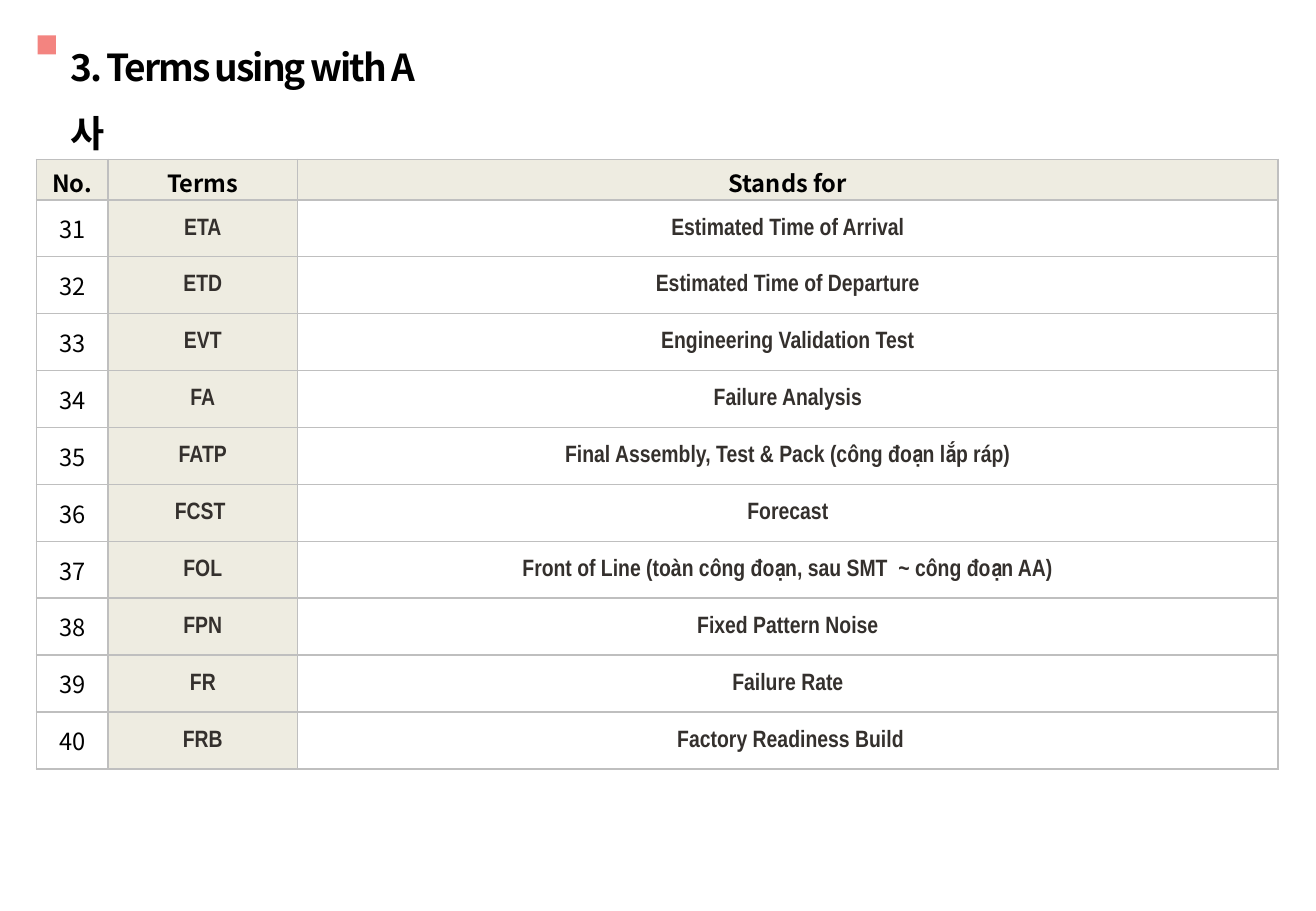
from lxml import etree
from pptx import Presentation
from pptx.dml.color import RGBColor
from pptx.enum.shapes import MSO_SHAPE
from pptx.enum.text import MSO_ANCHOR, MSO_AUTO_SIZE, PP_ALIGN
from pptx.oxml.ns import qn
from pptx.util import Cm, Pt

RECTANGLE = MSO_SHAPE.RECTANGLE
TOP, MIDDLE = MSO_ANCHOR.TOP, MSO_ANCHOR.MIDDLE
LEFT, CENTER = PP_ALIGN.LEFT, PP_ALIGN.CENTER
GROW = MSO_AUTO_SIZE.SHAPE_TO_FIT_TEXT

COLORS = {
    "accent": "F38480",
    "black": "000000",
    "term": "34302D",
    "shade": "EEECE1",
    "border": "BFBFBF",
}
KOREAN = "Noto Sans CJK KR"
NARROW = "Arial Narrow"

TITLE = "3. Terms using with A사"
HEADINGS = ("No.", "Terms", "Stands for")
FIRST_NUMBER = 31
TERMS = [
    ("ETA", "Estimated Time of Arrival"),
    ("ETD", "Estimated Time of Departure"),
    ("EVT", "Engineering Validation Test"),
    ("FA", "Failure Analysis"),
    ("FATP", "Final Assembly, Test & Pack (công đoạn lắp ráp)"),
    ("FCST ", "Forecast"),
    ("FOL", "Front of Line (toàn công đoạn, sau SMT  ~ công đoạn AA)"),
    ("FPN", "Fixed Pattern Noise"),
    ("FR", "Failure Rate"),
    ("FRB", " Factory Readiness Build"),
]
COLUMN_WIDTHS = (1.5, 3.96, 20.5)
HEADING_HEIGHT, TERM_HEIGHT = 0.36, 1.19


def color(name):
    """Return the named colour of the palette."""
    return RGBColor.from_string(COLORS[name])


def write(frame, text, size=14, font=KOREAN, ink="black", bold=False,
          align=CENTER, spacing=None, tracking=None):
    """Write one formatted paragraph into a text frame."""
    paragraph = frame.paragraphs[0]
    paragraph.alignment = align
    if spacing:
        paragraph.line_spacing = spacing
    run = paragraph.add_run()
    run.text = text
    run.font.size = Pt(size)
    run.font.bold = bold
    run.font.color.rgb = color(ink)
    run.font.name = font
    properties = run.font._element
    etree.SubElement(properties, qn("a:ea"), typeface=font)
    if tracking:
        properties.set("spc", str(round(tracking * 100)))


def draw_borders(cell):
    """Draw a thin line on all four sides of a cell."""
    properties = cell._tc.get_or_add_tcPr()
    for position, side in enumerate(("lnL", "lnR", "lnT", "lnB")):
        line = etree.Element(qn(f"a:{side}"), w=str(Pt(1)))
        fill = etree.SubElement(line, qn("a:solidFill"))
        etree.SubElement(fill, qn("a:srgbClr"), val=COLORS["border"])
        properties.insert(position, line)


def fill_cell(cell, text, shaded=False, tight=False, **text_format):
    """Set the text, fill, margins and borders of a table cell."""
    cell.vertical_anchor = MIDDLE
    if shaded:
        cell.fill.solid()
        cell.fill.fore_color.rgb = color("shade")
    else:
        cell.fill.background()
    if tight:
        cell.margin_left = cell.margin_right = cell.margin_top = Cm(0.03)
        cell.margin_bottom = Cm(0)
    draw_borders(cell)
    write(cell.text_frame, text, **text_format)


def add_heading(slide, left, top, width, height):
    """Place the square marker and the slide title in the given box."""
    marker = slide.shapes.add_shape(
        RECTANGLE, Cm(left), Cm(top + 0.41), Cm(0.38), Cm(0.4))
    marker.shadow.inherit = False
    marker.fill.solid()
    marker.fill.fore_color.rgb = color("accent")
    marker.line.fill.background()

    indent = 0.43
    title = slide.shapes.title
    title.left, title.top = Cm(left + indent), Cm(top)
    title.width, title.height = Cm(width - indent), Cm(height)
    frame = title.text_frame
    frame.word_wrap = True
    frame.auto_size = GROW
    frame.vertical_anchor = TOP
    write(frame, TITLE, size=22, bold=True, align=LEFT, spacing=1.5,
          tracking=-1.2)


def add_glossary(slide, left, top, width, height):
    """Place the table of terms in the given box."""
    glossary = slide.shapes.add_table(
        len(TERMS) + 1, len(HEADINGS),
        Cm(left), Cm(top), Cm(width), Cm(height)).table
    glossary.horz_banding = False
    for column, column_width in zip(glossary.columns, COLUMN_WIDTHS):
        column.width = Cm(column_width)
    for row in glossary.rows:
        row.height = Cm(TERM_HEIGHT)
    glossary.rows[0].height = Cm(HEADING_HEIGHT)

    for column, heading in enumerate(HEADINGS):
        fill_cell(glossary.cell(0, column), heading, shaded=True, bold=True)
    term_format = {"tight": True, "font": NARROW, "ink": "term", "bold": True}
    for row, (term, meaning) in enumerate(TERMS, start=1):
        fill_cell(glossary.cell(row, 0), str(FIRST_NUMBER + row - 1))
        fill_cell(glossary.cell(row, 1), term, shaded=True, **term_format)
        fill_cell(glossary.cell(row, 2), meaning, **term_format)


def main():
    """Build the glossary slide and save it."""
    deck = Presentation()
    deck.slide_width, deck.slide_height = Cm(27.51), Cm(19.05)
    slide = deck.slides.add_slide(deck.slide_layouts[5])
    add_heading(slide, 0.79, 0.33, 8.43, 1.52)
    add_glossary(slide, 0.76, 3.33, sum(COLUMN_WIDTHS),
                 HEADING_HEIGHT + TERM_HEIGHT * len(TERMS))
    deck.save("out.pptx")


if __name__ == "__main__":
    main()
